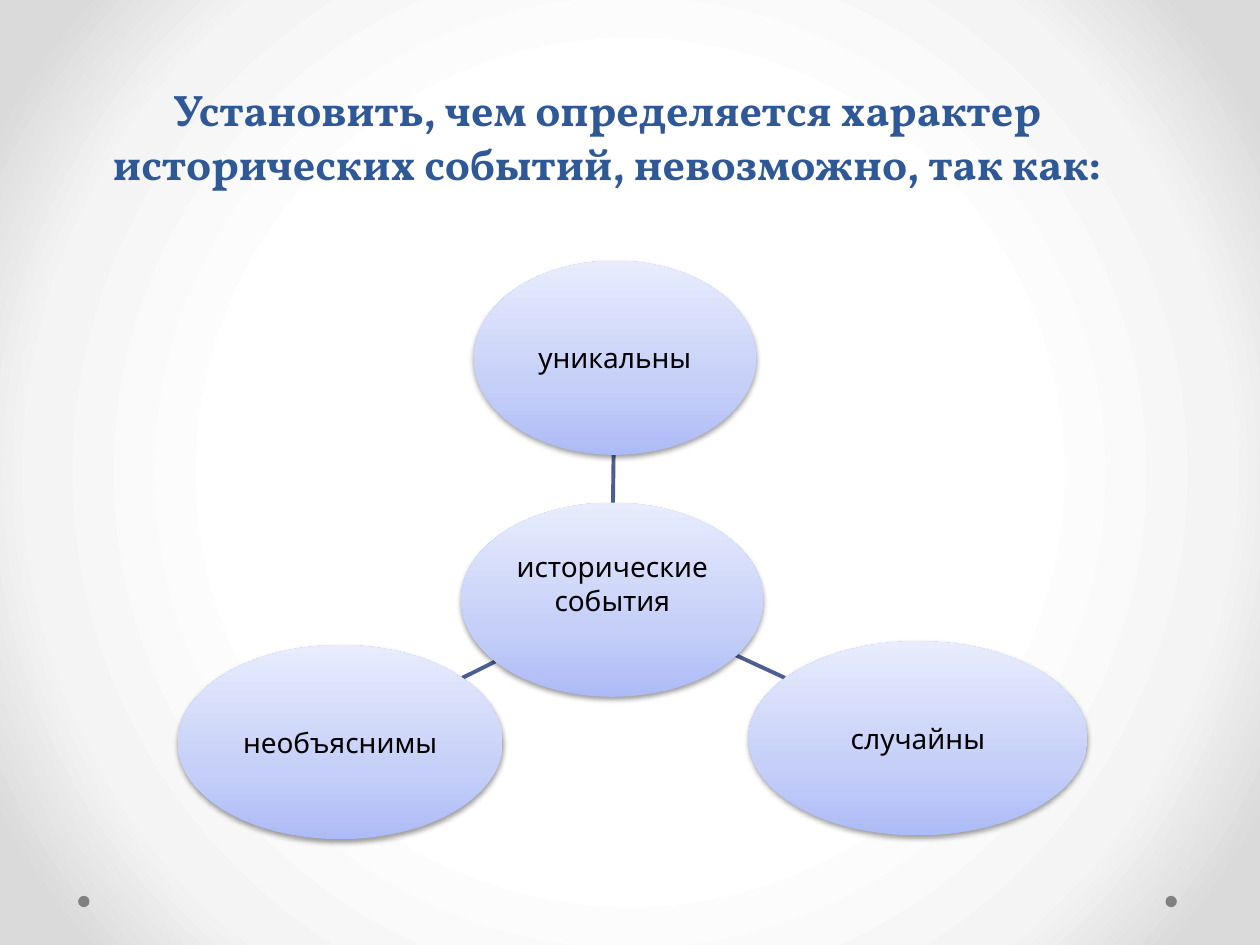
from lxml import etree
from pptx import Presentation
from pptx.dml.color import RGBColor
from pptx.enum.shapes import MSO_CONNECTOR, MSO_SHAPE
from pptx.enum.text import MSO_ANCHOR, PP_ALIGN
from pptx.oxml import parse_xml
from pptx.oxml.ns import qn
from pptx.util import Inches, Pt

OVAL = MSO_SHAPE.OVAL
LINE = MSO_CONNECTOR.STRAIGHT
MID, LOW = MSO_ANCHOR.MIDDLE, MSO_ANCHOR.BOTTOM
CENTER = PP_ALIGN.CENTER
NS = 'xmlns:a="http://schemas.openxmlformats.org/drawingml/2006/main"'

deck = Presentation()
deck.slide_width, deck.slide_height = Inches(10), Inches(7.5)
slide = deck.slides.add_slide(deck.slide_layouts[6])
shapes = slide.shapes
# Grid of 100 columns by 75 rows
col, row = deck.slide_width / 100, deck.slide_height / 75


def color(text):
    return RGBColor.from_string(text)


def blend(fill, root, stops, way):
    """Give fill a gradient of (percent, colour) stops; way is its direction XML."""
    fill.gradient()
    old = next(root.iter(qn("a:gradFill")))
    marks = "".join(f'<a:gs pos="{pos * 1000}"><a:srgbClr val="{tone}"/></a:gs>'
                    for pos, tone in stops)
    new = parse_xml(f'<a:gradFill {NS} rotWithShape="1"><a:gsLst>{marks}</a:gsLst>{way}</a:gradFill>')
    old.getparent().replace(old, new)


blend(slide.background.fill, slide.element,
      [(50, "FFFFFF"), (76, "F4F4F4"), (92, "DADADA")],
      '<a:path path="circle"><a:fillToRect l="50000" t="50000" r="50000" b="50000"/></a:path>')

# Corner dots
for x in (92.5, 6.2):
    dot = shapes.add_shape(OVAL, int(x * col), int(71.1 * row), int(0.9 * col), int(0.9 * row))
    dot.shadow.inherit = False
    dot.fill.solid()
    dot.fill.fore_color.rgb = color("808080")
    dot.line.fill.background()

# Spokes from the hub to each reason
for x1, y1, x2, y2 in [(48.65, 39.9, 48.7, 36.1), (58.4, 52, 62.3, 53.8), (39.3, 52.5, 36.7, 53.8)]:
    spoke = shapes.add_connector(LINE, int(x1 * col), int(y1 * row), int(x2 * col), int(y2 * row))
    spoke.line.color.rgb = color("4D5E90")
    spoke.line.width = Pt(2.25)
    etree.SubElement(spoke._element.spPr, qn("a:effectLst"))

# Hub and reasons: text, left, top, width, bottom inset
ovals = [
    ("исторические\nсобытия", 36.6, 39.9, 24, 2.7),
    ("уникальны", 37.6, 20.7, 22.4, 0.1),
    ("случайны", 59.4, 50.9, 26.9, 0.1),
    ("необъяснимы", 14.1, 51.2, 25.8, 0.1),
]
for text, x, y, wide, gap in ovals:
    oval = shapes.add_shape(OVAL, int(x * col), int(y * row), int(wide * col), int(15.4 * row))
    props = oval._element.spPr
    blend(oval.fill, props, [(0, "ADBBF6"), (35, "C5CFF8"), (100, "E8ECFD")],
          '<a:lin ang="16200000" scaled="0"/>')
    oval.line.fill.background()
    oval.shadow.inherit = False
    props.find(qn("a:effectLst")).append(parse_xml(
        f'<a:outerShdw {NS} blurRad="{Pt(3.1)}" dist="{Pt(1.6)}" dir="5400000" rotWithShape="0">'
        '<a:srgbClr val="000000"><a:alpha val="38000"/></a:srgbClr></a:outerShdw>'))
    frame = oval.text_frame
    frame.text = text
    frame.word_wrap = True
    frame.vertical_anchor = MID
    frame.margin_left = frame.margin_right = int(0.1 * col)
    frame.margin_top, frame.margin_bottom = int(0.1 * row), int(gap * row)
    for para in frame.paragraphs:
        para.alignment = CENTER
        para.font.size = Pt(16)
        para.font.name = "Comic Neue"
        para.font.color.rgb = color("000000")

title = shapes.add_textbox(int(5.1 * col), int(6 * row), int(86.2 * col), int(9.5 * row))
frame = title.text_frame
frame.text = "Установить, чем определяется характер исторических событий, невозможно, так как:"
frame.word_wrap = True
frame.vertical_anchor = LOW
para = frame.paragraphs[0]
para.alignment = CENTER
para.line_spacing = Pt(30.8)
para.font.size = Pt(25.2)
para.font.name = "Vollkorn"
para.font.bold = True
para.font.color.rgb = color("2F5897")

deck.save("out.pptx")
